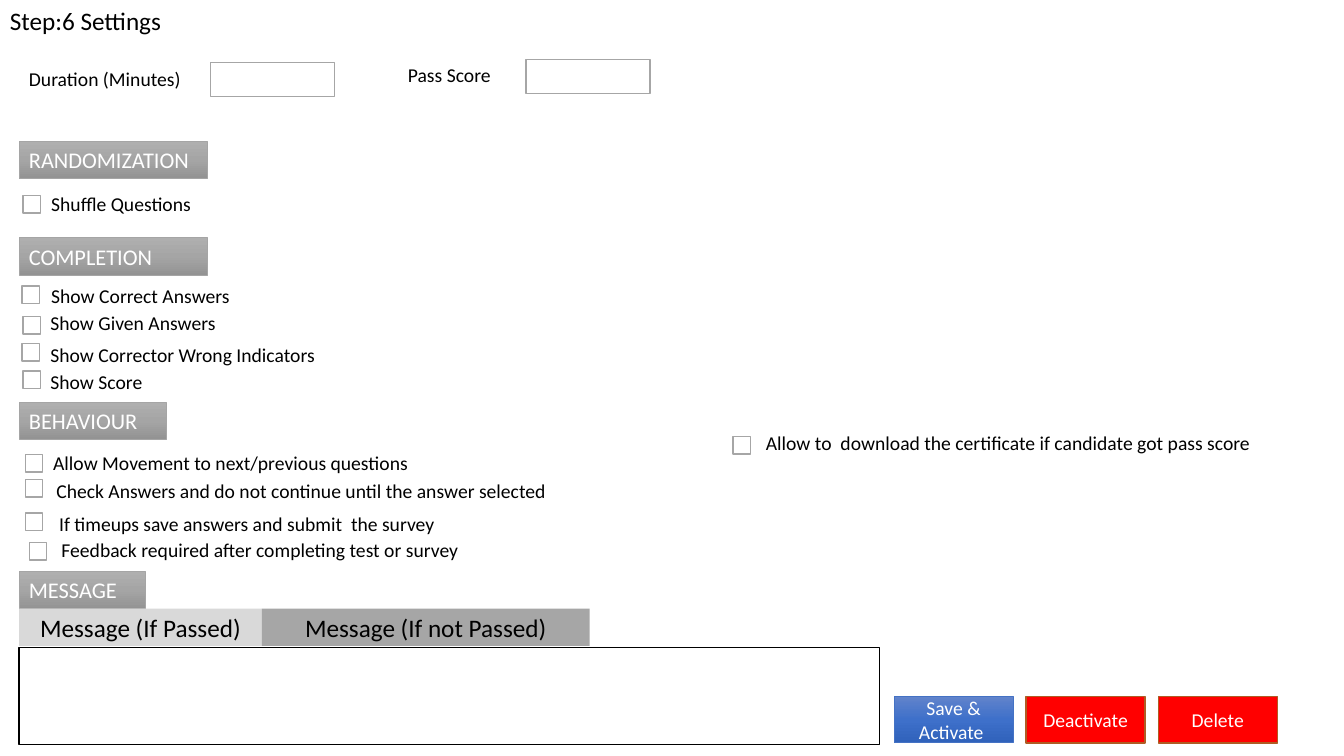
from copy import deepcopy

from pptx import Presentation
from pptx.dml.color import RGBColor
from pptx.enum.shapes import MSO_SHAPE
from pptx.enum.text import MSO_ANCHOR, MSO_AUTO_SIZE, PP_ALIGN
from pptx.util import Cm, Pt

RECTANGLE = MSO_SHAPE.RECTANGLE
TOP, MIDDLE = MSO_ANCHOR.TOP, MSO_ANCHOR.MIDDLE
LEFT, CENTER = PP_ALIGN.LEFT, PP_ALIGN.CENTER
GROW = MSO_AUTO_SIZE.SHAPE_TO_FIT_TEXT

BLACK = RGBColor(0x00, 0x00, 0x00)
WHITE = RGBColor(0xFF, 0xFF, 0xFF)
FIELD_GRAY = RGBColor(0xA6, 0xA6, 0xA6)
TAB_GRAY = RGBColor(0xD9, 0xD9, 0xD9)
HEADING_LINE = RGBColor(0xA5, 0xA5, 0xA5)
HEADING_SHADES = (RGBColor(0xAF, 0xAF, 0xAF), HEADING_LINE, RGBColor(0x93, 0x93, 0x93))
SAVE_LINE = RGBColor(0x44, 0x72, 0xC4)
SAVE_SHADES = (
    RGBColor(0x61, 0x83, 0xCB),
    RGBColor(0x3E, 0x70, 0xCA),
    RGBColor(0x30, 0x62, 0xBB),
)
RED = RGBColor(0xFF, 0x00, 0x00)
RED_BUTTON_LINE = RGBColor(0xAF, 0x5C, 0x24)

FONT = "Calibri"
MARGIN = 0.48
ROW_HEIGHT = 0.86
BAR_HEIGHT = 0.94
TICK_SIZE = 0.44
BUTTON_LEFT, BUTTON_TOP, BUTTON_STEP = 22.53, 17.55, 3.33

FIELDS = [
    ("Duration (Minutes)", MARGIN, 1.57, 5.31, 1.57),
    ("Pass Score", 10.03, 1.47, 13.26, 1.5),
]
HEADINGS = [
    ("RANDOMIZATION", 3.56, 4.75),
    ("COMPLETION", 5.99, 4.75),
    ("BEHAVIOUR", 10.13, 3.71),
    ("MESSAGE", 14.4, 3.18),
]
OPTIONS = [
    ("Shuffle Questions", 0.58, 4.93, 1.04, 4.7, 4.75),
    ("Show Correct Answers", 0.56, 7.21, 1.04, 7.04, 5.59),
    ("Show Given Answers", 0.58, 7.98, 1.02, 7.7, 5.59),
    ("Show Corrector Wrong Indicators", 0.56, 8.66, 1.02, 8.51, 7.85),
    ("Show Score", 0.58, 9.35, 1.02, 9.19, 7.85),
    ("Allow Movement to next/previous questions ", 0.64, 11.46, 1.09, 11.25, 10.13),
    ("Check Answers and do not continue until the answer selected",
     0.64, 12.09, 1.17, 11.94, 13.64),
    ("If timeups save answers and submit  the survey", 0.64, 12.93, 1.24, 12.78, 13.64),
    ("Feedback required after completing test or survey",
     0.74, 13.67, 1.3, 13.44, 13.64),
    ("Allow to  download the certificate if candidate got pass score",
     18.47, 11.0, 19.05, 10.74, 13.64),
]
TABS = [
    ("Message (If Passed)", 6.12, TAB_GRAY),
    ("Message (If not Passed)", 8.26, FIELD_GRAY),
]
BUTTONS = [
    ("Save & Activate ", SAVE_SHADES, SAVE_LINE, 0.5),
    ("Deactivate", RED, RED_BUTTON_LINE, 1),
    ("Delete", RED, RED_BUTTON_LINE, 1),
]


def write_text(shape, text, size, color, alignment=LEFT, anchor=TOP):
    frame = shape.text_frame
    frame.word_wrap = True
    frame.vertical_anchor = anchor
    if anchor == TOP:
        frame.auto_size = GROW
    paragraph = frame.paragraphs[0]
    paragraph.alignment = alignment
    run = paragraph.add_run()
    run.text = text
    run.font.name = FONT
    run.font.size = Pt(size)
    run.font.color.rgb = color


def add_label(slide, text, left, top, width, height=ROW_HEIGHT, size=14):
    label = slide.shapes.add_textbox(Cm(left), Cm(top), Cm(width), Cm(height))
    write_text(label, text, size, BLACK)


def fill_gradient(shape, shades):
    shape.fill.gradient()
    shape.fill.gradient_angle = 270
    first = shape._element.spPr.find(".//{*}gs")
    first.addnext(deepcopy(first))
    for stop, shade, position in zip(shape.fill.gradient_stops, shades, (0, 0.5, 1)):
        stop.color.rgb = shade
        stop.position = position


def add_box(slide, left, top, width, height, fill=None, line=None, line_width=1):
    box = slide.shapes.add_shape(RECTANGLE, Cm(left), Cm(top), Cm(width), Cm(height))
    box.shadow.inherit = False
    if fill is None:
        box.fill.background()
    elif isinstance(fill, RGBColor):
        box.fill.solid()
        box.fill.fore_color.rgb = fill
    else:
        fill_gradient(box, fill)
    if line is None:
        box.line.fill.background()
    else:
        box.line.color.rgb = line
        box.line.width = Pt(line_width)
    return box


def add_field(slide, text, label_left, label_top, left, top):
    add_label(slide, text, label_left, label_top, 4.75)
    add_box(slide, left, top, 3.12, ROW_HEIGHT, line=FIELD_GRAY)


def add_heading(slide, text, top, width):
    heading = add_box(slide, MARGIN, top, width, BAR_HEIGHT,
                      HEADING_SHADES, HEADING_LINE, 0.5)
    write_text(heading, text, 16, WHITE)


def add_option(slide, text, tick_left, tick_top, left, top, width):
    add_box(slide, tick_left, tick_top, TICK_SIZE, TICK_SIZE, line=FIELD_GRAY)
    add_label(slide, text, left, top, width)


def add_message_editor(slide):
    add_box(slide, MARGIN, 16.31, 21.69, 2.46, line=BLACK, line_width=0.75)
    left = MARGIN
    for text, width, fill in TABS:
        tab = add_box(slide, left, 15.34, width, BAR_HEIGHT, fill)
        write_text(tab, text, 18, BLACK, CENTER, MIDDLE)
        left += width


def add_button(slide, index, text, fill, line, line_width):
    left = BUTTON_LEFT + index * BUTTON_STEP
    button = add_box(slide, left, BUTTON_TOP, 3, 1.17, fill, line, line_width)
    write_text(button, text, 14, WHITE, CENTER, MIDDLE)


def main():
    presentation = Presentation()
    presentation.slide_width = Cm(33.87)
    presentation.slide_height = Cm(19.05)
    slide = presentation.slides.add_slide(presentation.slide_layouts[6])

    add_label(slide, "Step:6 Settings", 0, 0, 10.64, 1.03, 18)
    for field in FIELDS:
        add_field(slide, *field)
    for heading in HEADINGS:
        add_heading(slide, *heading)
    for option in OPTIONS:
        add_option(slide, *option)
    add_message_editor(slide)
    for index, button in enumerate(BUTTONS):
        add_button(slide, index, *button)

    presentation.save("out.pptx")


main()
